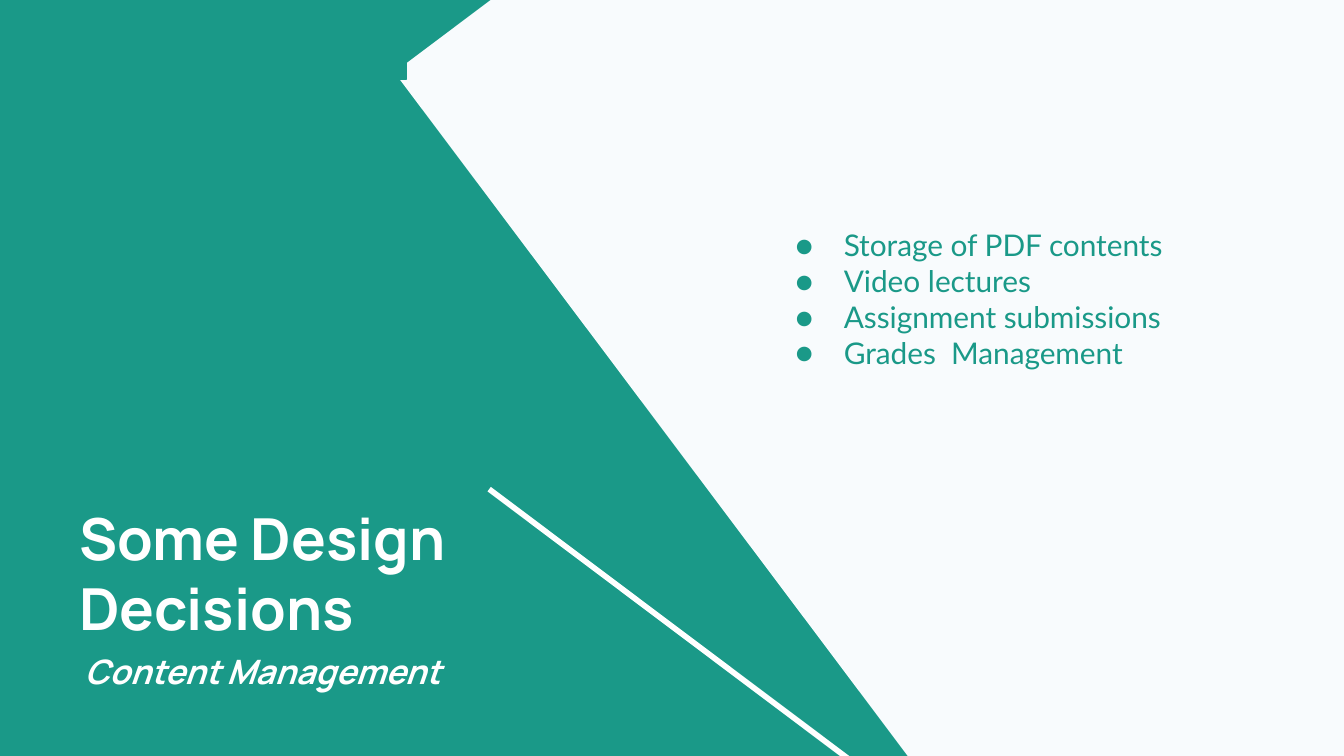
from dataclasses import dataclass

from lxml.etree import SubElement
from pptx import Presentation
from pptx.dml.color import RGBColor
from pptx.enum.shapes import MSO_CONNECTOR as CONNECTOR, MSO_SHAPE as SHAPE
from pptx.enum.text import MSO_ANCHOR as ANCHOR
from pptx.oxml.ns import qn
from pptx.util import Inches, Pt


@dataclass(frozen=True)
class Theme:
    green: RGBColor = RGBColor(0x1A, 0x99, 0x88)
    pale: RGBColor = RGBColor(0xF8, 0xFB, 0xFD)
    white: RGBColor = RGBColor(0xFF, 0xFF, 0xFF)
    heading_font: str = "Manrope"
    body_font: str = "Lato"
    title_size: int = 31
    subtitle_size: int = 18
    body_size: int = 16


THEME = Theme()


def add_rectangle(slide, left, top, width, height, fill, outline=None, rotation=0):
    shape = slide.shapes.add_shape(
        SHAPE.RECTANGLE, Inches(left), Inches(top), Inches(width), Inches(height))
    shape.shadow.inherit = False
    shape.rotation = rotation
    shape.fill.solid()
    shape.fill.fore_color.rgb = fill
    if outline is None:
        shape.line.fill.background()
    else:
        shape.line.color.rgb = outline
        shape.line.width = Pt(0.75)


def add_line(slide, start, end, color, width):
    line = slide.shapes.add_connector(
        CONNECTOR.STRAIGHT, *map(Inches, start), *map(Inches, end))
    line.line.color.rgb = color
    line.line.width = Pt(width)
    SubElement(line._element.spPr, qn("a:effectLst"))


def add_bullet(paragraph, color, font):
    properties = paragraph._p.get_or_add_pPr()
    properties.set("marL", str(Inches(0.5)))
    properties.set("indent", str(Inches(-0.36)))
    bullet_color = SubElement(properties, qn("a:buClr"))
    SubElement(bullet_color, qn("a:srgbClr"), val=str(color))
    SubElement(properties, qn("a:buFont"), typeface=font)
    SubElement(properties, qn("a:buChar"), char="●")


def add_text(slide, lines, left, top, width, height, *, font, size, color,
             bold=False, italic=False, bullets=False):
    box = slide.shapes.add_textbox(
        Inches(left), Inches(top), Inches(width), Inches(height))
    frame = box.text_frame
    frame.word_wrap = True
    frame.vertical_anchor = ANCHOR.TOP
    frame.margin_left = frame.margin_right = Inches(0.1)
    frame.margin_top = frame.margin_bottom = Inches(0.1)
    for index, line in enumerate(lines):
        paragraph = frame.add_paragraph() if index else frame.paragraphs[0]
        if bullets:
            add_bullet(paragraph, color, font)
        run = paragraph.add_run()
        run.text = line
        run.font.name = font
        run.font.size = Pt(size)
        run.font.bold = bold
        run.font.italic = italic
        run.font.color.rgb = color


def main():
    # Widescreen slide, 16:9
    presentation = Presentation()
    presentation.slide_width = Inches(10)
    presentation.slide_height = Inches(10) * 9 // 16
    slide = presentation.slides.add_slide(presentation.slide_layouts[6])

    # Green background with a tilted pale panel and a white accent line
    slide.background.fill.solid()
    slide.background.fill.fore_color.rgb = THEME.green
    add_rectangle(slide, 4.83, -2.19, 6.28, 8.41, THEME.pale, rotation=323.1)
    add_line(slide, (3.64, 3.64), (7.13, 6.26), THEME.white, 3)

    # Design decisions
    decisions = ["Storage of PDF contents", "Video lectures",
                 "Assignment submissions", "Grades  Management"]
    add_text(slide, decisions, 5.68, 1.59, 3.12, 1.28, font=THEME.body_font,
             size=THEME.body_size, color=THEME.green, bullets=True)

    # Title and subtitle
    add_text(slide, ["Some Design Decisions"], 0.49, 3.64, 3.26, 1.25,
             font=THEME.heading_font, size=THEME.title_size,
             color=THEME.white, bold=True)
    add_text(slide, ["Content Management"], 0.53, 4.74, 3, 0.54,
             font=THEME.heading_font, size=THEME.subtitle_size,
             color=THEME.white, bold=True, italic=True)

    # Green block over the panel's corner
    add_rectangle(slide, 0.1, 0.02, 2.92, 0.57, THEME.green, outline=THEME.green)

    presentation.save("out.pptx")


if __name__ == "__main__":
    main()
